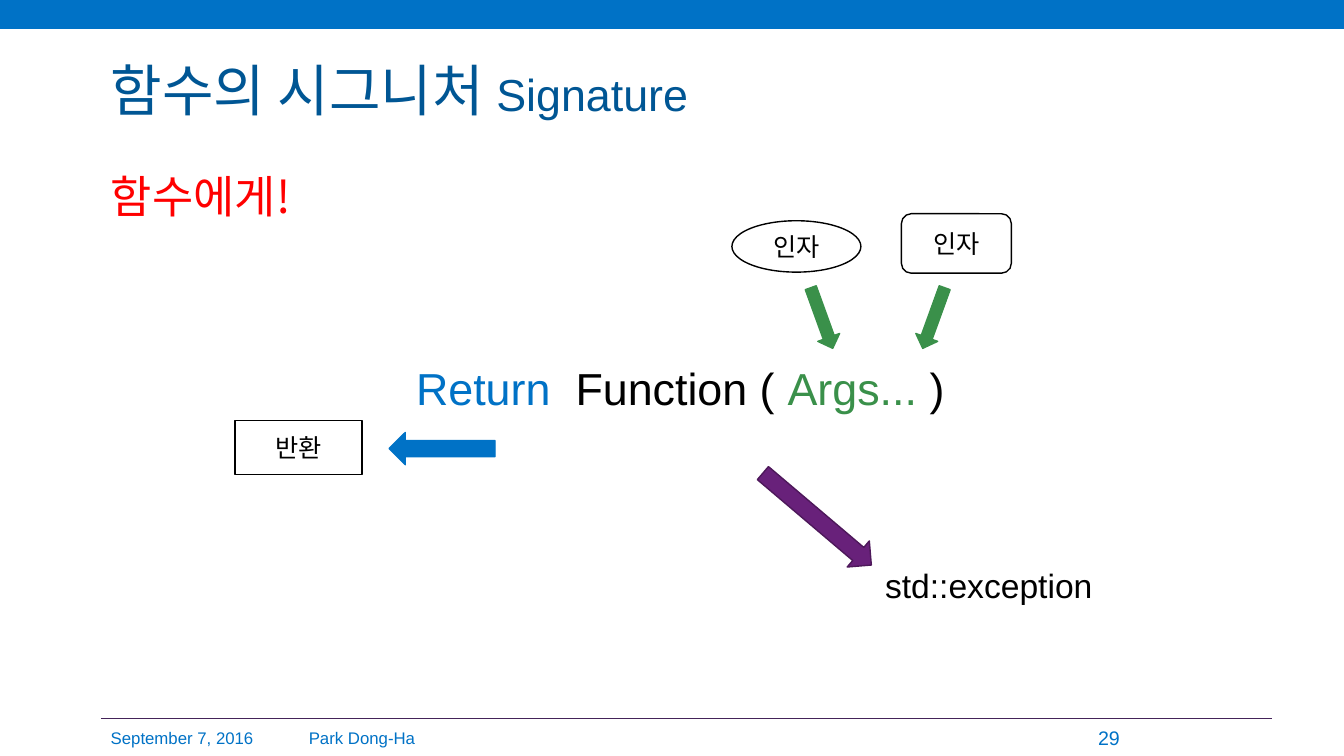
import pptx
import pptx.util
import pptx.dml.color
import pptx.enum.shapes
import pptx.enum.text
import pptx.oxml
import pptx.oxml.ns
from dataclasses import dataclass

SHAPE = pptx.enum.shapes.MSO_SHAPE
ALIGN = pptx.enum.text.PP_ALIGN
ANCHOR = pptx.enum.text.MSO_ANCHOR


@dataclass(frozen=True)
class Theme:
    latin: str = "Arial"
    hangul: str = "Noto Sans CJK KR"
    blue: str = "0072C6"
    navy: str = "005694"
    green: str = "3A904A"
    purple: str = "68217A"
    plum: str = "4D185A"
    rule: str = "442359"
    red: str = "FF0000"
    black: str = "000000"
    title: int = 40
    heading: int = 32
    code: int = 24
    label: int = 18
    number: int = 14
    footer: int = 12
    line: int = 1


T = Theme()

# Places are left, top, width, height in percent of the slide.
# Runs are text, size, colour.
TITLE = [("함수의 시그니처 ", T.title, T.navy), ("Signature", T.heading, T.navy)]
TITLE_AT = (7.5, 7.87, 87.17, 8.93)
CALL_OUT = [("함수에게!", T.heading, T.red)]
CALL_OUT_AT = (7.5, 22.4, 24.76, 10)
SIGNATURE = [("Return", T.heading, T.blue), ("  Function ( ", T.heading, T.black),
             ("Args... ", T.heading, T.green), (") ", T.heading, T.black)]
SIGNATURE_AT = (7.5, 43.47, 87.17, 16)
EXCEPTION = [("std::exception", T.code, T.black)]
EXCEPTION_AT = (65.12, 74, 21.53, 6.67)
TOP_BAND_AT = (0, 0, 100, 3.73)
FOOTER_TOP, FOOTER_HEIGHT = 95.07, 4.93
FOOTER_RULE = (7.5, 94.67)
FOOTERS = [  # text, size, left, width, alignment
    ("September 7, 2016", T.footer, 7.5, 13.05, ALIGN.LEFT),
    ("Park Dong-Ha", T.footer, 20.56, 12.75, ALIGN.CENTER),
    ("29", T.number, 78.39, 8.25, ALIGN.CENTER),
]
LABELS = [  # text, outline, place
    ("인자", SHAPE.OVAL, (54.46, 29.2, 9.6, 6.8)),
    ("인자", SHAPE.ROUNDED_RECTANGLE, (67.07, 28.27, 8.18, 7.87)),
    ("반환", SHAPE.RECTANGLE, (17.48, 55.6, 9.45, 7.2)),
]
ARROWS = [  # place, rotation, flipped, fill, line
    ((58.74, 40.53, 4.8, 3.07), 70.1, False, T.green, T.green),
    ((67.07, 40.53, 4.8, 3.07), 289.9, True, T.green, T.green),
    ((28.96, 57.2, 7.88, 4.27), 0, True, T.blue, T.blue),
    ((55.51, 66.4, 10.58, 4.53), 40.3, False, T.purple, T.plum),
]

deck = pptx.Presentation()
deck.slide_width = pptx.util.Inches(13.33)
deck.slide_height = pptx.util.Inches(7.5)
slide = deck.slides.add_slide(deck.slide_layouts[1])


def across(share):
    return round(deck.slide_width * share / 100)


def down(share):
    return round(deck.slide_height * share / 100)


def box(place):
    left, top, width, height = place
    return across(left), down(top), across(width), down(height)


def rgb(colour):
    return pptx.dml.color.RGBColor.from_string(colour)


def write(shape, runs, align=ALIGN.LEFT, anchor=ANCHOR.TOP, spacing=1.0, latin=T.latin):
    frame = shape.text_frame
    frame.word_wrap = True
    frame.auto_size = pptx.enum.text.MSO_AUTO_SIZE.NONE
    frame.vertical_anchor = anchor
    paragraph = frame.paragraphs[0]
    paragraph.alignment = align
    paragraph.line_spacing = spacing
    paragraph.space_before = pptx.util.Pt(0)
    for text, size, colour in runs:
        run = paragraph.add_run()
        run.text = text
        run.font.size = pptx.util.Pt(size)
        run.font.color.rgb = rgb(colour)
        run.font.name = latin
        east_asian = pptx.oxml.parse_xml(
            f'<a:ea {pptx.oxml.ns.nsdecls("a")} typeface="{T.hangul}"/>')
        run.font._element.find(pptx.oxml.ns.qn("a:latin")).addnext(east_asian)
    return paragraph


def add_text(place, runs, **layout):
    return write(slide.shapes.add_textbox(*box(place)), runs, **layout)


def add_outline(kind, place, fill, line):
    shape = slide.shapes.add_shape(kind, *box(place))
    shape.shadow.inherit = False
    if fill:
        shape.fill.solid()
        shape.fill.fore_color.rgb = rgb(fill)
    else:
        shape.fill.background()
    shape.line.color.rgb = rgb(line)
    shape.line.width = pptx.util.Pt(T.line)
    return shape


def fill_placeholder(holder, place, runs, **layout):
    holder.left, holder.top, holder.width, holder.height = box(place)
    return write(holder, runs, spacing=0.9, **layout)


def add_footer():
    start, end = map(across, FOOTER_RULE)
    level = down(FOOTER_TOP)
    rule = slide.shapes.add_connector(
        pptx.enum.shapes.MSO_CONNECTOR.STRAIGHT, start, level, end, level)
    rule.line.color.rgb = rgb(T.rule)
    rule.line.width = pptx.util.Pt(T.line)
    rule._element.spPr.append(
        pptx.oxml.parse_xml(f'<a:effectLst {pptx.oxml.ns.nsdecls("a")}/>'))
    for text, size, left, width, align in FOOTERS:
        add_text((left, FOOTER_TOP, width, FOOTER_HEIGHT), [(text, size, T.blue)],
                 align=align, anchor=ANCHOR.MIDDLE)


def main():
    add_outline(SHAPE.RECTANGLE, TOP_BAND_AT, T.blue, T.blue)
    add_footer()
    fill_placeholder(slide.shapes.title, TITLE_AT, TITLE, anchor=ANCHOR.MIDDLE)
    call_out = fill_placeholder(slide.placeholders[1], CALL_OUT_AT, CALL_OUT, latin=T.hangul)
    properties = call_out._p.get_or_add_pPr()
    properties.set("marL", "0")
    properties.set("indent", "0")
    properties.append(pptx.oxml.parse_xml(f'<a:buNone {pptx.oxml.ns.nsdecls("a")}/>'))

    add_text(SIGNATURE_AT, SIGNATURE, align=ALIGN.CENTER, spacing=1.5)
    for text, kind, place in LABELS:
        write(add_outline(kind, place, None, T.black), [(text, T.label, T.black)],
              align=ALIGN.CENTER, anchor=ANCHOR.MIDDLE)
    for place, rotation, flipped, fill, line in ARROWS:
        arrow = add_outline(SHAPE.RIGHT_ARROW, place, fill, line)
        arrow.rotation = rotation
        if flipped:
            arrow._element.spPr.xfrm.set("flipH", "1")
    add_text(EXCEPTION_AT, EXCEPTION)
    deck.save("out.pptx")


if __name__ == "__main__":
    main()
